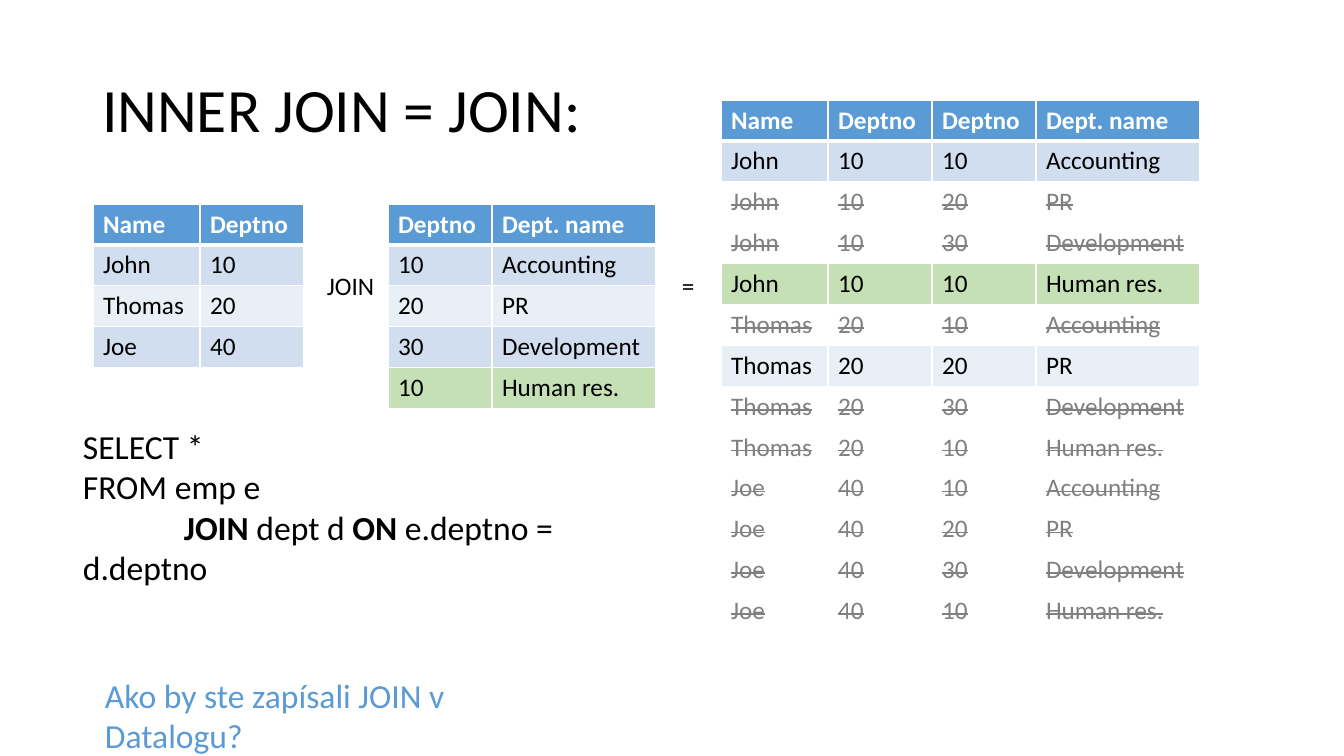
from dataclasses import dataclass
from itertools import product
from typing import Any, NamedTuple

from lxml.etree import SubElement
from pptx import Presentation
from pptx.dml.color import RGBColor
from pptx.enum.text import MSO_ANCHOR, MSO_AUTO_SIZE, PP_ALIGN
from pptx.oxml.ns import qn
from pptx.util import Emu, Pt

EMU_PER_PX = 12192000 / 1344
FONT = "Calibri"
COLORS = {
    "text": "000000",
    "crossed": "808080",
    "header": "5B9BD5",
    "band_dark": "D1DEEF",
    "band_light": "E9EFF7",
    "added": "C5E0B4",
    "white": "FFFFFF",
}
COLUMN_WIDTHS = {"Name": 107, "Deptno": 104, "Dept. name": 164}


class Row(NamedTuple):
    """One table row with its fill; a crossed row is struck through."""
    values: tuple[str, ...]
    fill: str
    crossed: bool = False


class Run(NamedTuple):
    """A piece of text, bold or not."""
    text: str
    bold: bool = False


@dataclass
class Relation:
    """A relation drawn as a table."""
    left: int
    top: int
    height: int
    columns: tuple[str, ...]
    rows: list[Row]


@dataclass
class Label:
    """A free text; each paragraph is a list of runs."""
    box: tuple[int, int, int, int]
    paragraphs: list[list[Run]]
    size: int
    color: str = "text"
    last_indent: int = 0


def px(length: float) -> Emu:
    """Turn pixels into EMU."""
    return Emu(round(length * EMU_PER_PX))


def rgb(name: str) -> RGBColor:
    """Look up a colour by its role."""
    return RGBColor.from_string(COLORS[name])


def set_all(target: Any, values: dict[str, Any]) -> None:
    """Set every attribute in the dict on the target."""
    for attribute, value in values.items():
        setattr(target, attribute, value)


def add_run(paragraph: Any, run: Run, size: int, color: str) -> Any:
    """Add a formatted run to a paragraph."""
    added = paragraph.add_run()
    added.text = run.text
    set_all(added.font, {"name": FONT, "size": Pt(size), "bold": run.bold})
    added.font.color.rgb = rgb(color)
    return added


def add_border(cell: Any, side: str, points: float) -> None:
    """Draw a white line on one side of a cell, before it is filled."""
    line = SubElement(cell._tc.get_or_add_tcPr(), qn(f"a:ln{side}"), w=str(Pt(points)))
    SubElement(SubElement(line, qn("a:solidFill")), qn("a:srgbClr"), val=COLORS["white"])


def add_relation(slide: Any, relation: Relation) -> None:
    """Draw a relation with a header and equally high rows."""
    widths = [COLUMN_WIDTHS[column] for column in relation.columns]
    rows = [Row(relation.columns, "header"), *relation.rows]
    table = slide.shapes.add_table(
        len(rows), len(widths), px(relation.left), px(relation.top),
        px(sum(widths)), px(relation.height)).table
    table.horz_banding = False
    for column, width in zip(table.columns, widths):
        column.width = px(width)
    for row_index, row in enumerate(rows):
        header = row_index == 0
        color = "white" if header else "crossed" if row.crossed else "text"
        for column_index, value in enumerate(row.values):
            cell = table.cell(row_index, column_index)
            for side in "LRTB":
                thick = (header and side == "B") or (row_index == 1 and side == "T")
                add_border(cell, side, 3 if thick else 0.96)
            cell.fill.solid()
            cell.fill.fore_color.rgb = rgb(row.fill)
            run = add_run(cell.text_frame.paragraphs[0], Run(value, header), 18, color)
            if row.crossed:
                run.font._element.set("strike", "sngStrike")


def add_label(slide: Any, label: Label) -> None:
    """Draw a text box."""
    frame = slide.shapes.add_textbox(*map(px, label.box)).text_frame
    set_all(frame, {"word_wrap": True, "auto_size": MSO_AUTO_SIZE.NONE})
    for index, runs in enumerate(label.paragraphs):
        paragraph = frame.add_paragraph() if index else frame.paragraphs[0]
        for run in runs:
            add_run(paragraph, run, label.size, label.color)
    if label.last_indent:
        paragraph._p.get_or_add_pPr().set("indent", str(px(label.last_indent)))


def add_title(slide: Any, text: str) -> None:
    """Fill and place the title placeholder."""
    title = slide.shapes.title
    set_all(title, dict(zip(("left", "top", "width", "height"),
                            map(px, (92, 40, 1159, 146)))))
    set_all(title.text_frame, {"vertical_anchor": MSO_ANCHOR.MIDDLE,
                               "word_wrap": True,
                               "auto_size": MSO_AUTO_SIZE.NONE})
    paragraph = title.text_frame.paragraphs[0]
    set_all(paragraph, {"alignment": PP_ALIGN.LEFT, "line_spacing": 0.9})
    add_run(paragraph, Run(text), 44, "text")


employees = [
    Row(("John", "10"), "band_dark"),
    Row(("Thomas", "20"), "band_light"),
    Row(("Joe", "40"), "band_dark"),
]
departments = [
    Row(("10", "Accounting"), "band_dark"),
    Row(("20", "PR"), "band_light"),
    Row(("30", "Development"), "band_dark"),
    Row(("10", "Human res."), "added"),
]


def join_rows() -> list[Row]:
    """Pair all employees and departments, crossing out unequal numbers."""
    pairs = []
    for employee, department in product(employees, departments):
        matched = employee.values[1] == department.values[0]
        pairs.append(Row(employee.values + department.values,
                         department.fill if matched else "white", not matched))
    return pairs


relations = [
    Relation(93, 204, 163, ("Name", "Deptno"), employees),
    Relation(388, 204, 204, ("Deptno", "Dept. name"), departments),
    Relation(721, 100, 531, ("Name", "Deptno", "Deptno", "Dept. name"), join_rows()),
]
query = [
    [Run("SELECT *")],
    [Run("FROM emp e")],
    [Run("JOIN", True), Run(" dept d "), Run("ON", True), Run(" e.deptno = d.deptno")],
]
labels = [
    Label((317, 265, 71, 40), [[Run("JOIN")]], 18),
    Label((672, 265, 36, 40), [[Run("=")]], 18),
    Label((73, 421, 600, 171), query, 24, last_indent=101),
    Label((95, 670, 480, 86), [[Run("Ako by ste zapísali JOIN v Datalogu?")]],
          24, color="header"),
]

presentation = Presentation()
set_all(presentation, {"slide_width": px(1344), "slide_height": px(756)})
slide = presentation.slides.add_slide(presentation.slide_layouts[5])
add_title(slide, "INNER JOIN = JOIN:")
for relation in relations:
    add_relation(slide, relation)
for label in labels:
    add_label(slide, label)
presentation.save("out.pptx")
